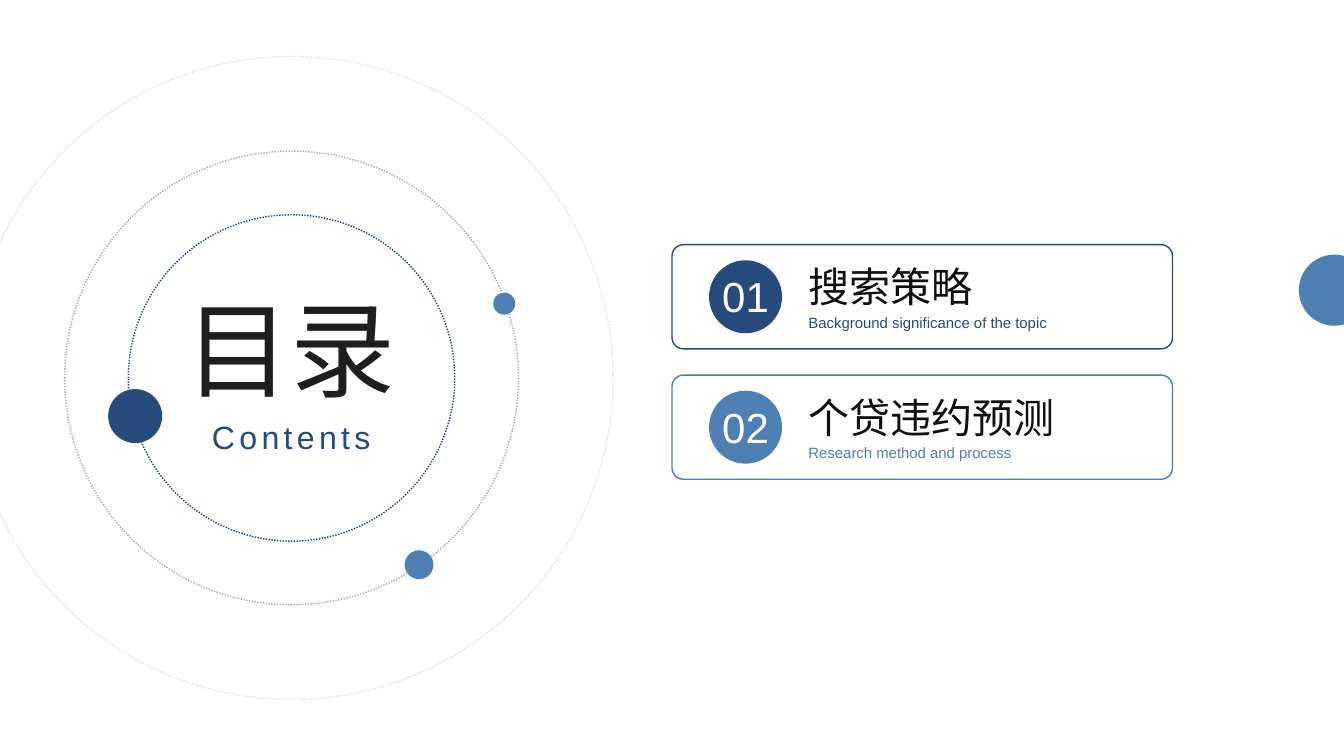
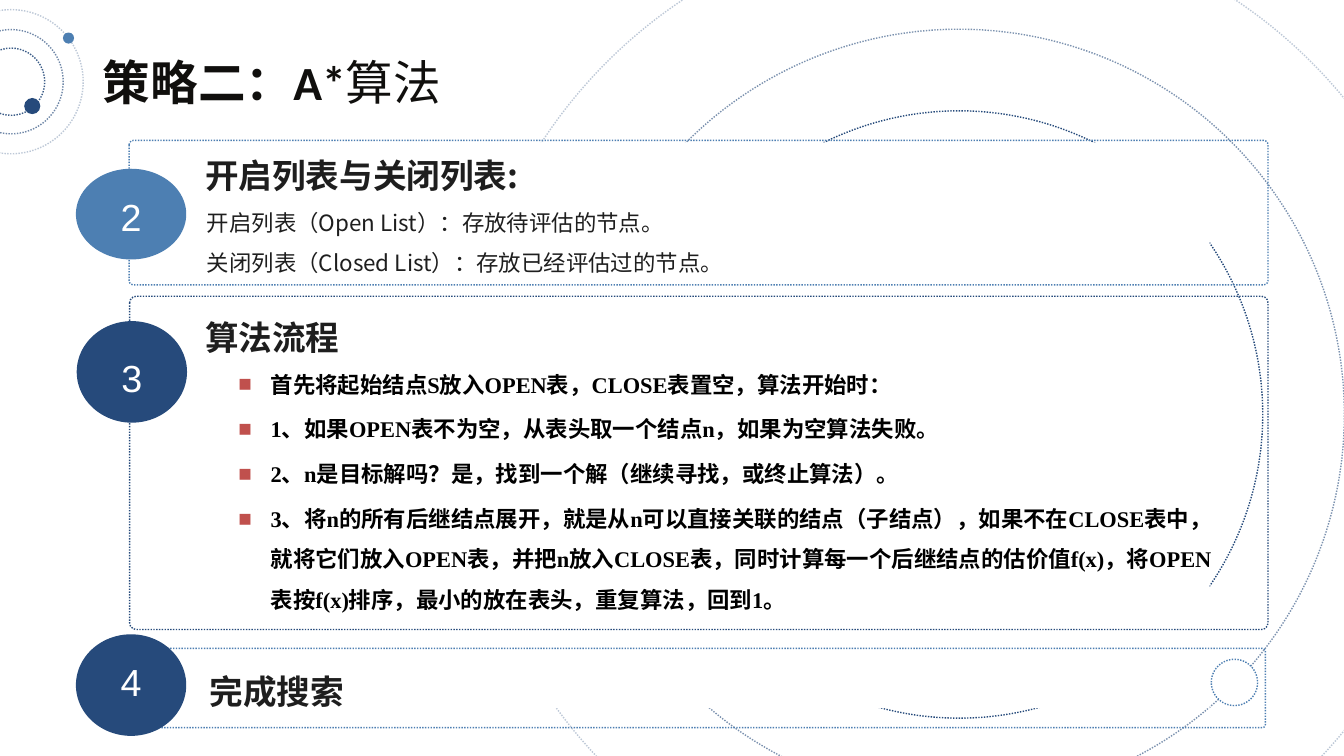
from lxml.etree import SubElement
from pptx import Presentation
from pptx.dml.color import RGBColor
from pptx.enum.dml import MSO_LINE
from pptx.enum.shapes import MSO_SHAPE as Shape
from pptx.enum.text import MSO_ANCHOR, MSO_AUTO_SIZE, PP_ALIGN as Align
from pptx.oxml.ns import qn
from pptx.util import Cm, Pt

NAVY, BLUE, WHITE = "264A7B", "4D7FB2", "FFFFFF"
BLACK, DARK, TITLE_COLOUR, BULLET_COLOUR = "000000", "1E1E1E", "100F0D", "C0504D"
CJK = "Noto Sans CJK SC"
colour_of = RGBColor.from_string


def draw(slide, kind, left, top, width, height, fill=None, line=None, dotted=True, opacity=100):
    """Add a flat preset shape, measured in cm, with an optional dotted outline."""
    shape = slide.shapes.add_shape(kind, Cm(left), Cm(top), Cm(width), Cm(height))
    shape.shadow.inherit = False
    if fill:
        shape.fill.solid()
        shape.fill.fore_color.rgb = colour_of(fill)
    else:
        shape.fill.background()
    if line:
        shape.line.color.rgb = colour_of(line)
        shape.line.width = Pt(1.5)
        if dotted:
            shape.line.dash_style = MSO_LINE.ROUND_DOT
        if opacity < 100:
            colour = shape.line._ln.find(".//" + qn("a:srgbClr"))
            SubElement(colour, qn("a:alpha"), val=str(opacity * 1000))
    else:
        shape.line.fill.background()
    return shape


def style(shape, size, colour, font, spacing, bold=False, align=Align.LEFT):
    """Format all text of a shape and remove its insets."""
    frame = shape.text_frame
    frame.word_wrap = True
    frame.auto_size = MSO_AUTO_SIZE.NONE
    frame.vertical_anchor = MSO_ANCHOR.TOP
    frame.margin_left = frame.margin_top = frame.margin_right = frame.margin_bottom = 0
    for paragraph in frame.paragraphs:
        paragraph.alignment = align
        paragraph.line_spacing = spacing
        for run in paragraph.runs:
            run.font.size = Pt(size)
            run.font.bold = bold
            run.font.name = font
            run.font.color.rgb = colour_of(colour)
            SubElement(run.font._element, qn("a:ea"), typeface=CJK)


presentation = Presentation()
presentation.slide_width, presentation.slide_height = Cm(50.8), Cm(28.58)
title_only = presentation.slide_layouts[5]
contents = presentation.slides.add_slide(title_only)
strategy = presentation.slides.add_slide(title_only)

# Concentric dotted rings: slide, centre, then diameter and opacity of each
for slide, x, y, rings in [
    (contents, 11.02, 14.29, [(24.31, 17), (17.15, 44), (12.34, 100)]),
    (strategy, 36.25, 15.67, [(37.67, 30), (29.13, 60), (22.96, 100)]),
    (strategy, 0.42, 3.09, [(5.45, 30), (3.94, 65), (2.54, 90)]),
]:
    for diameter, opacity in rings:
        draw(slide, Shape.OVAL, x - diameter / 2, y - diameter / 2, diameter, diameter,
             line=NAVY, opacity=opacity)

# Dots on the rings: slide, centre, diameter, fill, outline
for slide, x, y, diameter, fill, line in [
    (contents, 50.44, 10.97, 2.69, BLUE, None),
    (contents, 5.11, 15.73, 2.04, NAVY, None),
    (contents, 15.84, 21.35, 1.09, BLUE, None),
    (contents, 19.06, 11.48, 0.83, BLUE, None),
    (strategy, 46.66, 25.8, 1.75, WHITE, BLUE),
    (strategy, 1.22, 4.01, 0.61, NAVY, None),
    (strategy, 2.59, 1.44, 0.42, BLUE, None),
]:
    draw(slide, Shape.OVAL, x - diameter / 2, y - diameter / 2, diameter, diameter, fill, line)

# Slide 1: contents
title = contents.shapes.title
title.left, title.top, title.width, title.height = Cm(6.25), Cm(10.74), Cm(9.5), Cm(4.75)
title.text_frame.text = "目录"
style(title, 112.5, DARK, "Calibri", Pt(135), align=Align.CENTER)

subtitle = contents.shapes.add_textbox(Cm(5.64), Cm(15.77), Cm(10.74), Cm(1.45))
subtitle.text_frame.text = "Contents"
style(subtitle, 34.4, NAVY, "Arial", Pt(41.2), align=Align.CENTER)
subtitle.text_frame.paragraphs[0].runs[0].font._element.set("spc", "460")

chapters = [
    ("搜索策略", "Background significance of the topic", NAVY),
    ("个贷违约预测", "Research method and process", BLUE),
]
for index, (heading, caption, colour) in enumerate(chapters):
    top = 9.25 + index * 4.93
    card = draw(contents, Shape.ROUNDED_RECTANGLE, 25.4, top, 18.92, 3.94,
                line=colour, dotted=False)
    card.adjustments[0] = 0.11
    number = draw(contents, Shape.OVAL, 26.8, top + 0.59, 2.76, 2.76, colour)
    number.text_frame.text = f"{index + 1:02}"
    style(number, 45, WHITE, "Arial", Pt(54), align=Align.CENTER)
    number.text_frame.word_wrap = False
    for text, offset, height, size, text_colour, font, spacing in [
        (heading, 0.64, 1.88, 44, TITLE_COLOUR, "Calibri", 52.8),
        (caption, 2.59, 0.69, 16, colour, "Arial", 19.2),
    ]:
        label = contents.shapes.add_textbox(Cm(30.56), Cm(top + offset), Cm(13.77), Cm(height))
        label.text_frame.text = text
        style(label, size, text_colour, font, Pt(spacing))

# Slide 2: A* search
title = strategy.shapes.title
title.left, title.top, title.width, title.height = Cm(3.89), Cm(2.01), Cm(17.37), Cm(2.18)
title.text_frame.text = "策略二：A*"
title_line = title.text_frame.paragraphs[0]
title_line.add_run().text = "算法"
style(title, 51, TITLE_COLOUR, "Calibri", Pt(61.2), bold=True)
title_line.runs[1].font.bold = False

draw(strategy, Shape.RECTANGLE, 5.08, 5.38, 40.64, 21.39, WHITE)

# Panel box, corner and outline; number, its box, inset and fill; heading and its place
for box, corner, line, digit, circle, inset, fill, heading, left, top in [
    ((4.88, 5.31, 43.05, 5.46), 0.03, BLUE, "2", (2.87, 6.38, 4.17, 3.43), 0.44, BLUE,
     "开启列表与关闭列表:", 7.75, 5.84),
    ((4.9, 11.2, 43.03, 12.6), 0.02, NAVY, "3", (2.9, 12.14, 4.17, 3.84), 0.71, NAVY,
     "算法流程", 7.75, 11.96),
    ((5.23, 24.51, 42.6, 3), 0.04, BLUE, "4", (2.87, 23.98, 4.17, 3.84), 0.38, NAVY,
     "完成搜索", 7.92, 25.35),
]:
    panel = draw(strategy, Shape.ROUNDED_RECTANGLE, *box, line=line)
    panel.adjustments[0] = corner
    number = draw(strategy, Shape.OVAL, *circle, fill)
    number.text_frame.text = digit
    style(number, 40.4, WHITE, "Arial", Pt(48.4), align=Align.CENTER)
    number.text_frame.margin_top = Cm(inset)
    label = strategy.shapes.add_textbox(Cm(left), Cm(top), Cm(14.96), Cm(1.6))
    label.text_frame.text = heading
    style(label, 36, DARK, CJK, Pt(43.7), bold=True)

lists = strategy.shapes.add_textbox(Cm(7.82), Cm(7.39), Cm(37.8), Cm(3.68))
lists.text_frame.text = "\n".join([
    "开启列表（Open List）：存放待评估的节点。",
    "关闭列表（Closed List）：存放已经评估过的节点。",
])
style(lists, 24, DARK, CJK, 1.5, align=Align.JUSTIFY)

steps = strategy.shapes.add_textbox(Cm(7.72), Cm(13.51), Cm(38.79), Cm(11.33))
steps.text_frame.text = "\n".join([
    "首先将起始结点S放入OPEN表，CLOSE表置空，算法开始时：",
    "1、如果OPEN表不为空，从表头取一个结点n，如果为空算法失败。",
    "2、n是目标解吗？是，找到一个解（继续寻找，或终止算法）。",
    "3、将n的所有后继结点展开，就是从n可以直接关联的结点（子结点），如果不在CLOSE表中，"
    "就将它们放入OPEN表，并把n放入CLOSE表，同时计算每一个后继结点的估价值f(x)，"
    "将OPEN表按f(x)排序，最小的放在表头，重复算法，回到1。",
])
for index, paragraph in enumerate(steps.text_frame.paragraphs):
    properties = paragraph._p.get_or_add_pPr()
    properties.set("marL", str(Cm(2.51)))
    properties.set("indent", str(Cm(-1.22)))
    bullet_colour = SubElement(properties, qn("a:buClr"))
    SubElement(bullet_colour, qn("a:srgbClr"), val=BULLET_COLOUR)
    SubElement(properties, qn("a:buFont"), typeface="Arial")
    SubElement(properties, qn("a:buChar"), char="■")
    paragraph.level = 1
    if index:
        paragraph.space_before = Pt(4.8)
style(steps, 24, BLACK, "Times New Roman", 1.5, bold=True)

presentation.save("out.pptx")
